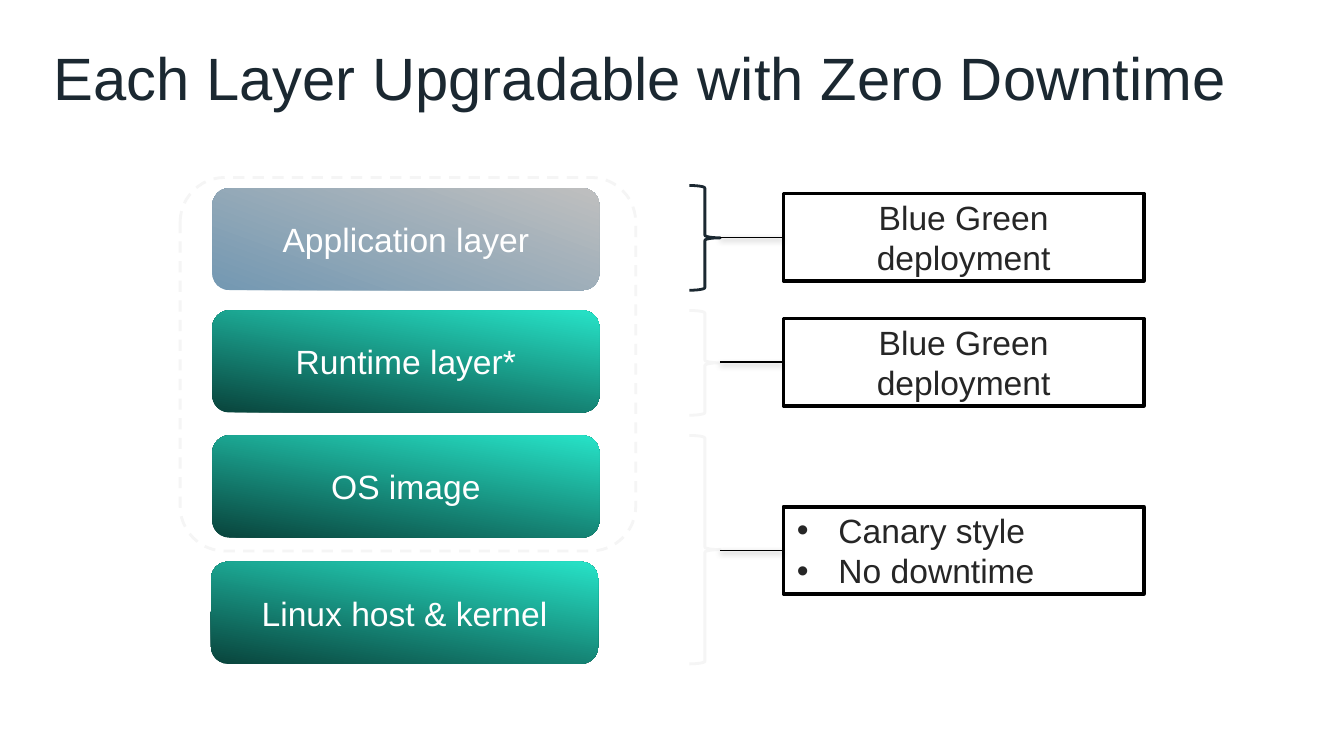
from lxml import etree
from pptx import Presentation
from pptx.dml.color import RGBColor
from pptx.enum.dml import MSO_LINE
from pptx.enum.shapes import MSO_CONNECTOR, MSO_SHAPE
from pptx.enum.text import MSO_ANCHOR, MSO_AUTO_SIZE, PP_ALIGN
from pptx.oxml import parse_xml
from pptx.oxml.ns import qn
from pptx.util import Inches, Pt

ROUND, RECT, BRACE = (MSO_SHAPE.ROUNDED_RECTANGLE, MSO_SHAPE.RECTANGLE,
                      MSO_SHAPE.RIGHT_BRACE)
LEFT, CENTER = PP_ALIGN.LEFT, PP_ALIGN.CENTER
TOP, MIDDLE = MSO_ANCHOR.TOP, MSO_ANCHOR.MIDDLE
COLORS = {"ink": "1B2831", "text": "262626", "pale": "F5F5F5", "white": "FFFFFF",
          "black": "000000", "deep": "09443C", "mint": "27E3C8",
          "steel": "7398B2", "gray": "BFBFBF"}
SHADOW = ('<a:effectLst xmlns:a="http://schemas.openxmlformats.org/drawingml/2006/main">'
          '<a:outerShdw blurRad="39370" dist="20320" dir="5400000" rotWithShape="0">'
          '<a:srgbClr val="000000"><a:alpha val="38000"/></a:srgbClr>'
          '</a:outerShdw></a:effectLst>')


def add(kind, x, y, w, h, line=None, width=1.5):
    shape = slide.shapes.add_shape(kind, Inches(x), Inches(y), Inches(w), Inches(h))
    shape.shadow.inherit = False
    shape.fill.background()
    if line:
        shape.line.color.rgb = RGBColor.from_string(COLORS[line])
        shape.line.width = Pt(width)
    else:
        shape.line.fill.background()
    return shape


def write(shape, text, size, color, align, anchor=MIDDLE):
    frame = shape.text_frame
    frame.text = text
    frame.word_wrap = True
    frame.vertical_anchor = anchor
    for para in frame.paragraphs:
        para.alignment = align
        for run in para.runs:
            run.font.name = "Arial"
            run.font.size = Pt(size)
            run.font.color.rgb = RGBColor.from_string(COLORS[color])
    return frame


# Widescreen page, 16 to 9
prs = Presentation()
prs.slide_width = Inches(10)
prs.slide_height = prs.slide_width * 9 // 16
slide = prs.slides.add_slide(prs.slide_layouts[5])

# Title
title = slide.shapes.title
title.left, title.top = Inches(0.4), Inches(0.36)
title.width, title.height = Inches(9.2), Inches(0.5)
frame = write(title, "Each Layer Upgradable with Zero Downtime", 32, "ink", LEFT, TOP)
frame.auto_size = MSO_AUTO_SIZE.NONE
frame.margin_left = frame.margin_right = frame.margin_top = frame.margin_bottom = 0
frame.paragraphs[0].line_spacing = 0.9

# Dashed frame around the upper three layers
border = add(ROUND, 1.34, 1.32, 3.39, 2.78, "pale")
border.adjustments[0] = 0.12
border.line.dash_style = MSO_LINE.DASH

# Layer stack
layers = [("Application layer", 1.58, 1.4, "steel", "gray", 70),
          ("Runtime layer*", 1.58, 2.31, "deep", "mint", 80),
          ("OS image", 1.58, 3.24, "deep", "mint", 80),
          ("Linux host & kernel", 1.57, 4.18, "deep", "mint", 80)]
for text, x, y, start, end, angle in layers:
    layer = add(ROUND, x, y, 2.88, 0.76)
    layer.fill.gradient()
    layer.fill.gradient_angle = angle
    for stop, name in zip(layer.fill.gradient_stops, (start, end)):
        stop.color.rgb = RGBColor.from_string(COLORS[name])
    write(layer, text, 18, "white", CENTER)

# Braces, each joined to its upgrade method
methods = [("Blue Green deployment", 1.38, 0.78, 1.44, "ink", False),
           ("Blue Green deployment", 2.31, 0.78, 2.37, "pale", False),
           ("Canary style\nNo downtime", 3.24, 1.7, 3.77, "pale", True)]
for text, y, tall, top, tint, listed in methods:
    add(BRACE, 5.13, y, 0.23, tall, tint)

    box = add(RECT, 5.83, top, 2.68, 0.65, "black", 2)
    box.fill.solid()
    box.fill.fore_color.rgb = RGBColor.from_string(COLORS["white"])
    frame = write(box, text, 18, "text", LEFT if listed else CENTER)
    if listed:
        for para in frame.paragraphs:
            props = para._p.get_or_add_pPr()
            props.set("marL", str(Inches(0.31)))
            props.set("indent", str(-Inches(0.31)))
            etree.SubElement(props, qn("a:buFont")).set("typeface", "Arial")
            etree.SubElement(props, qn("a:buChar")).set("char", "•")

    mid = box.top + box.height // 2
    link = slide.shapes.add_connector(MSO_CONNECTOR.STRAIGHT, Inches(5.36), mid,
                                      box.left, mid)
    link.end_connect(box, 1)
    link.line.color.rgb = RGBColor.from_string(COLORS["black"])
    link.line.width = Pt(0.75)
    link._element.spPr.append(parse_xml(SHADOW))

prs.save("out.pptx")
